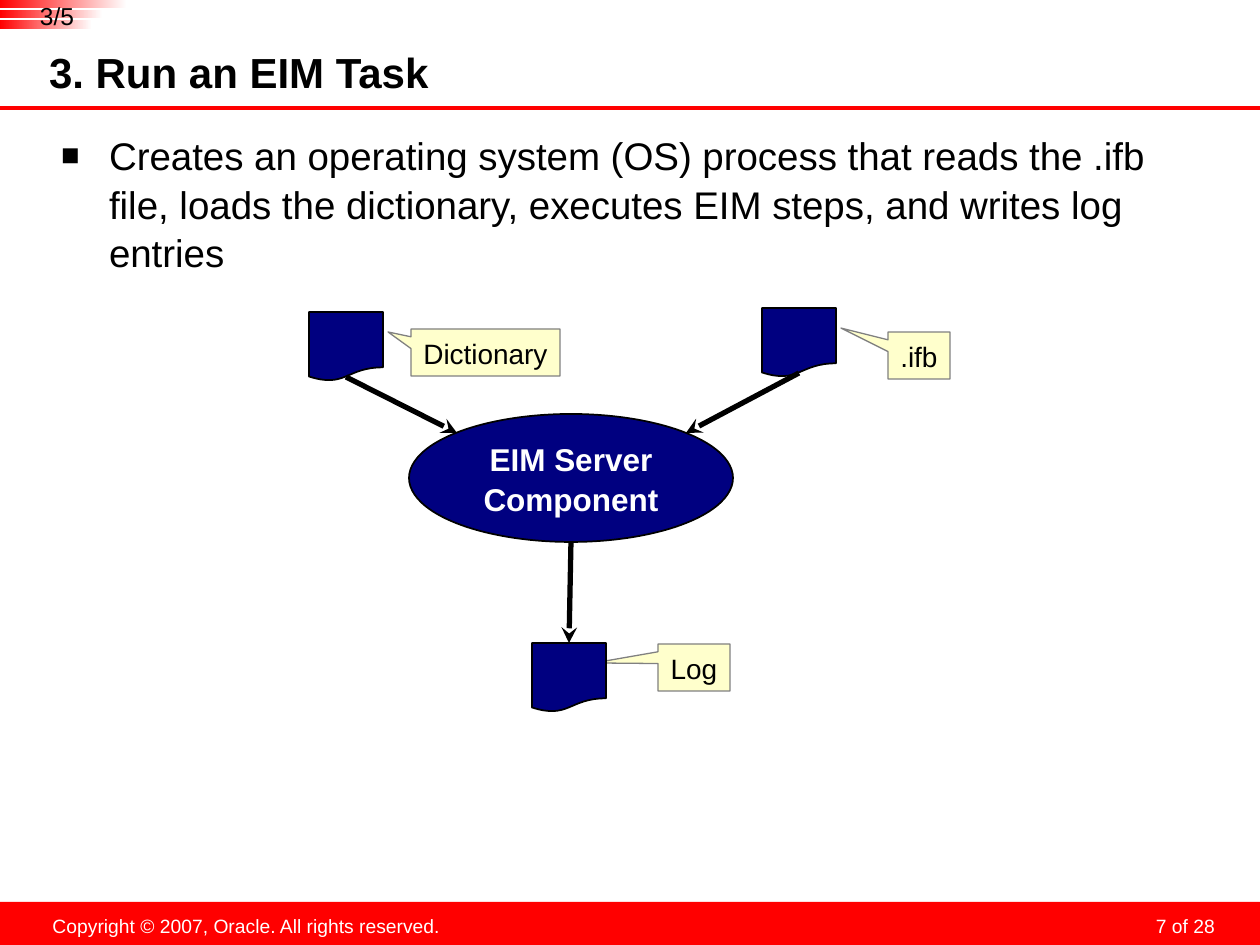
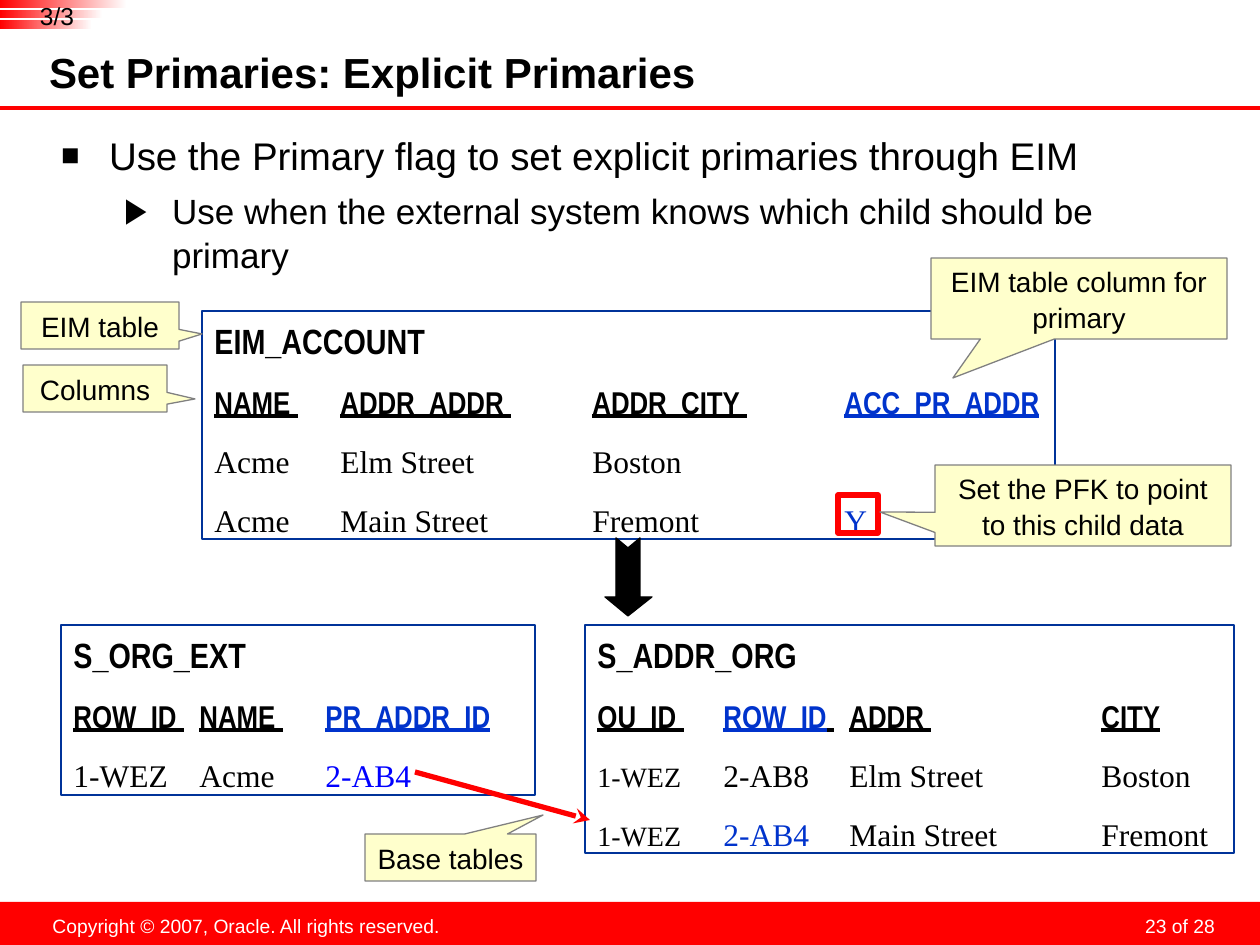
from lxml.etree import SubElement
from pptx import Presentation
from pptx.dml.color import RGBColor
from pptx.enum.shapes import MSO_CONNECTOR, MSO_SHAPE as Preset
from pptx.enum.text import MSO_ANCHOR as Anchor, MSO_AUTO_SIZE, PP_ALIGN as Align
from pptx.oxml.ns import qn
from pptx.util import Emu, Pt

EMU_PER_PX = 914400 / 126
WIDTH, HEIGHT = 1260, 945
LINE_SPACING = 1.05

COLORS = {
    "black": "000000", "white": "FFFFFF", "red": "FF0000", "navy": "000080",
    "note": "FFFFCC", "note_edge": "808080", "frame": "003399",
    "key": "0033CC", "link": "0000FF",
}


def px(value):
    return Emu(round(value * EMU_PER_PX))


def box(*lengths):
    return [px(length) for length in lengths]


def rgb(name):
    return RGBColor.from_string(COLORS[name])


# ---- text and formatting helpers ----
def style(paragraph, size, color="black", font="Arial", bold=False, underline=False,
          align=Align.LEFT, spacing=LINE_SPACING, before=0):
    paragraph.alignment = align
    paragraph.line_spacing = spacing
    paragraph.space_before = Pt(before)
    face = paragraph.font
    face.name, face.size, face.bold = font, Pt(size), bold
    face.underline = underline
    face.color.rgb = rgb(color)


def frame_setup(frame, anchor, wrap=True, insets=None):
    frame.auto_size = MSO_AUTO_SIZE.NONE
    frame.word_wrap = wrap
    frame.vertical_anchor = anchor
    if insets:
        (frame.margin_left, frame.margin_top,
         frame.margin_right, frame.margin_bottom) = box(*insets)


def write(shape, text, size, anchor=Anchor.MIDDLE, wrap=True, insets=None, **look):
    frame = shape.text_frame
    frame_setup(frame, anchor, wrap, insets)
    frame.text = text
    style(frame.paragraphs[0], size, **look)


def place(shape, area):
    shape.left, shape.top, shape.width, shape.height = box(*area)


def paint(shape, fill=None, line=None, weight=1):
    shape.shadow.inherit = False
    if fill:
        shape.fill.solid()
        shape.fill.fore_color.rgb = rgb(fill)
    else:
        shape.fill.background()
    if line:
        shape.line.color.rgb = rgb(line)
        shape.line.width = Pt(weight)
    else:
        shape.line.fill.background()
    return shape


def add_preset(slide, preset, area, **look):
    return paint(slide.shapes.add_shape(preset, *box(*area)), **look)


def add_label(slide, area, text, size, **look):
    write(slide.shapes.add_textbox(*box(*area)), text, size, anchor=Anchor.TOP, **look)


def add_line(slide, start, end, color, weight, arrow=False):
    line = slide.shapes.add_connector(MSO_CONNECTOR.STRAIGHT, *box(*start, *end))
    line.line.color.rgb = rgb(color)
    line.line.width = Pt(weight)
    properties = line.element.spPr
    if arrow:
        SubElement(properties.find(qn("a:ln")), qn("a:tailEnd"), type="stealth")
    SubElement(properties, qn("a:effectLst"))
    return line


# ---- parts shared by the slides ----
def add_progress_mark(slide, progress):
    for top, width, height in [(0, 127, 8), (10, 103, 8), (20, 92, 9)]:
        bar = add_preset(slide, Preset.RECTANGLE, (0, top, width, height))
        bar.fill.gradient()
        bar.fill.gradient_angle = 0
        for stop, color in zip(bar.fill.gradient_stops, ("red", "white")):
            stop.color.rgb = rgb(color)
    add_label(slide, (25, 0, 64, 29), progress, 14, align=Align.CENTER, insets=(0, 0, 0, 0))


def add_footer(slide, page):
    add_preset(slide, Preset.RECTANGLE, (0, 902, WIDTH, HEIGHT - 902), fill="red")
    add_label(slide, (927, 906, 294, 32), f"{page} of 28", 11, color="white",
              align=Align.RIGHT, spacing=Pt(18), insets=(6, 0, 6, 0))
    add_label(slide, (39, 907, 415, 37), "Copyright © 2007, Oracle. All rights reserved.",
              11, color="white", align=Align.CENTER, wrap=False)


def add_bullet(paragraph, level):
    symbol, size_percent, indent = [("■", 80, 48), ("▶", 100, 111)][level]
    paragraph.level = level
    properties = paragraph._p.get_or_add_pPr()
    properties.set("marL", str(px(indent)))
    properties.set("indent", str(-px(48)))
    bullet_color = SubElement(properties, qn("a:buClr"))
    SubElement(bullet_color, qn("a:srgbClr"), val=COLORS["black"])
    SubElement(properties, qn("a:buSzPct"), val=str(size_percent * 1000))
    SubElement(properties, qn("a:buChar"), char=symbol)


def start_slide(deck, title, bullets, progress, page):
    slide = deck.slides.add_slide(deck.slide_layouts[1])
    heading, body = slide.placeholders
    place(heading, (49, 48, 992, 50))
    write(heading, title, 24, bold=True, insets=(0, 0, 6, 6))

    place(body, (48, 117, 1153, 779))
    frame = body.text_frame
    frame_setup(frame, Anchor.TOP, insets=(13, 13, 13, 6))
    frame.text = "\n".join(bullets)
    for level, paragraph in enumerate(frame.paragraphs):
        add_bullet(paragraph, level)
        style(paragraph, (22, 20)[level], before=5 * level)

    add_line(slide, (0, 108), (WIDTH, 108), "red", 1.75)
    add_footer(slide, page)
    add_progress_mark(slide, progress)
    return slide


# ---- content elements ----
def add_callout(slide, text, area, tip, wrap=False):
    left, top, width, height = area
    note = add_preset(slide, Preset.RECTANGULAR_CALLOUT, area,
                      fill="note", line="note_edge", weight=0.75)
    note.adjustments[0] = round((tip[0] - left - width / 2) / width, 3)
    note.adjustments[1] = round((tip[1] - top - height / 2) / height, 3)
    write(note, text, 16, wrap=wrap, align=Align.CENTER)


def add_document(slide, left, top):
    return add_preset(slide, Preset.FLOWCHART_DOCUMENT, (left, top, 74, 69),
                      fill="navy", line="black")


def add_run(paragraph, text, color="black", size=18):
    run = paragraph.add_run()
    run.text = text
    run.font.size = Pt(size)
    run.font.color.rgb = rgb(color)


def as_cell(cell):
    return (cell,) if isinstance(cell, str) else cell


def add_record_box(slide, area, name, stops, columns, records):
    """Framed table sketch; stops are the column starts in inches."""
    panel = add_preset(slide, Preset.RECTANGLE, area, line="frame", weight=1.5)
    write(panel, name, 20, anchor=Anchor.TOP, font="Arial Narrow", bold=True)

    for row, cells in enumerate([columns, *records]):
        paragraph = panel.text_frame.add_paragraph()
        tabs = SubElement(paragraph._p.get_or_add_pPr(), qn("a:tabLst"))
        for stop in stops:
            SubElement(tabs, qn("a:tab"), pos=str(px(126 * stop)), algn="l")
        is_header = row == 0
        style(paragraph, 18, font="Arial Narrow" if is_header else "Times New Roman",
              bold=is_header, underline=is_header, before=11.2)
        for column, cell in enumerate(cells):
            if column:
                add_run(paragraph, " \t" if is_header else "\t")
            add_run(paragraph, *as_cell(cell))


def add_load_arrow(slide):
    outline = [(640, 538), (640, 597), (652, 597), (628, 616),
               (605, 597), (616, 597), (616, 538), (628, 548)]
    builder = slide.shapes.build_freeform(*outline[0], scale=EMU_PER_PX)
    builder.add_line_segments(outline[1:], close=True)
    paint(builder.convert_to_shape(), fill="black", line="black", weight=0.75)


# ---- slides ----
def build_task_slide(deck):
    slide = start_slide(
        deck, "3. Run an EIM Task",
        ["Creates an operating system (OS) process that reads the .ifb file, "
         "loads the dictionary, executes EIM steps, and writes log entries"],
        "3/5", 7)

    add_callout(slide, ".ifb", (888, 332, 62, 47), (841, 328))
    add_callout(slide, "Log", (658, 644, 72, 47), (594, 663))
    add_callout(slide, "Dictionary", (411, 329, 149, 47), (388, 332))

    add_document(slide, 309, 312)
    add_document(slide, 762, 308)
    log = add_document(slide, 532, 643)
    server = add_preset(slide, Preset.OVAL, (409, 414, 324, 128), fill="navy", line="black")
    write(server, "EIM Server Component", 18, color="white", bold=True, align=Align.CENTER)

    add_line(slide, (346, 377), (457, 433), "black", 3, arrow=True)
    add_line(slide, (799, 373), (686, 433), "black", 3, arrow=True)
    log_arrow = add_line(slide, (571, 542), (569, 643), "black", 3, arrow=True)
    log_arrow.end_connect(log, 0)


def build_primaries_slide(deck):
    slide = start_slide(
        deck, "Set Primaries: Explicit Primaries",
        ["Use the Primary flag to set explicit primaries through EIM",
         "Use when the external system knows which child should be primary"],
        "3/3", 23)

    # EIM table and the base tables it loads
    add_record_box(slide, (202, 311, 853, 228), "EIM_ACCOUNT", (1, 3, 5),
                   ["NAME", "ADDR_ADDR", "ADDR_CITY", ("ACC_PR_ADDR", "key")],
                   [["Acme", "Elm Street", "Boston"],
                    ["Acme", "Main Street", "Fremont", ("Y", "key")]])
    add_record_box(slide, (61, 625, 474, 170), "S_ORG_EXT", (1, 2),
                   ["ROW_ID", "NAME", ("PR_ADDR_ID", "key")],
                   [["1-WEZ", "Acme", ("2-AB4", "link")]])
    parent = ("1-WEZ", "black", 16)
    add_record_box(slide, (585, 625, 649, 228), "S_ADDR_ORG", (1, 2, 4),
                   ["OU_ID", ("ROW_ID", "key"), "ADDR", "CITY"],
                   [[parent, "2-AB8", "Elm Street", "Boston"],
                    [parent, ("2-AB4", "key"), "Main Street", "Fremont"]])

    # Primary flag, load arrow and link between the base tables
    add_preset(slide, Preset.RECTANGLE, (838, 495, 40, 38), line="red", weight=3)
    add_load_arrow(slide)
    add_line(slide, (415, 772), (590, 820), "red", 3, arrow=True)

    add_callout(slide, "Set the PFK to point to this child data",
                (935, 465, 296, 81), (880, 512), wrap=True)
    add_callout(slide, "EIM table column for primary",
                (931, 258, 296, 81), (953, 378), wrap=True)
    add_callout(slide, "EIM table", (21, 302, 158, 47), (202, 334))
    add_callout(slide, "Columns", (23, 365, 144, 47), (195, 399))
    add_callout(slide, "Base tables", (365, 834, 171, 47), (543, 815))


def main():
    deck = Presentation()
    deck.slide_width, deck.slide_height = box(WIDTH, HEIGHT)
    build_task_slide(deck)
    build_primaries_slide(deck)
    deck.save("out.pptx")


if __name__ == "__main__":
    main()
